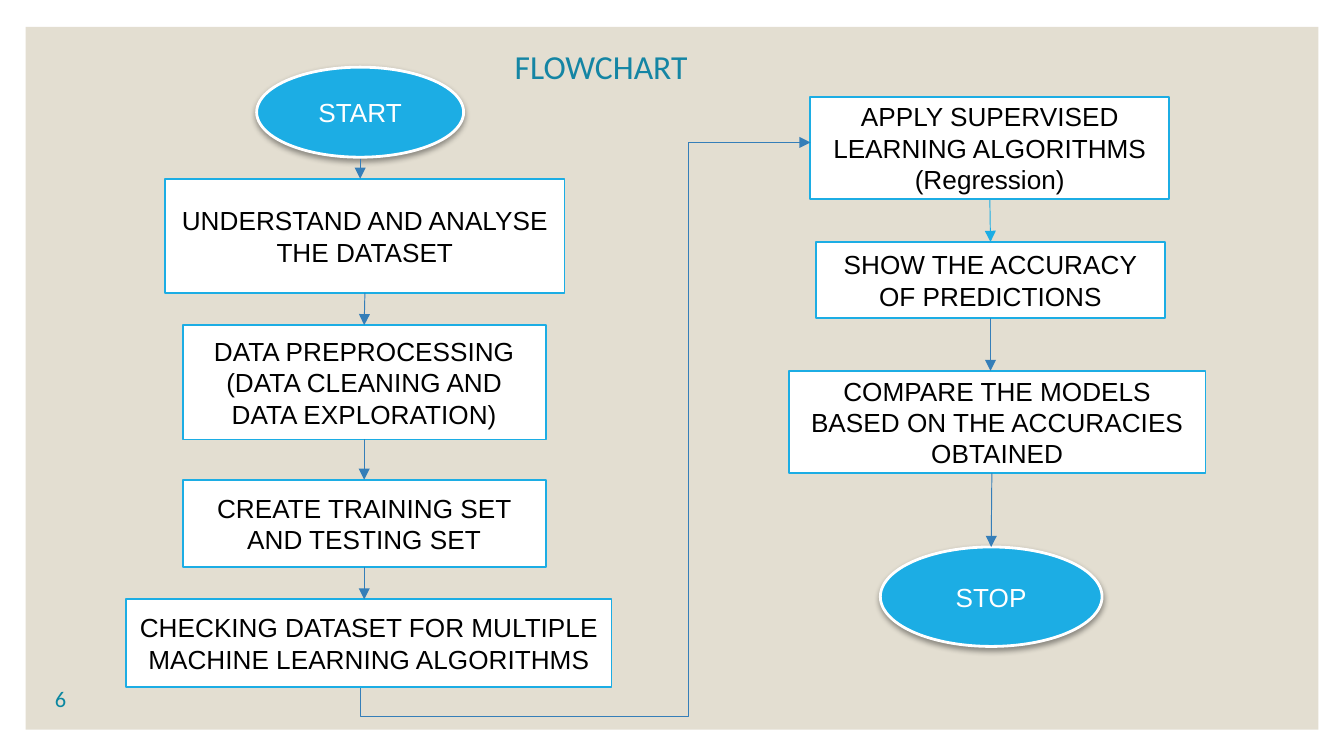
from lxml.etree import SubElement
from pptx import Presentation
from pptx.dml.color import RGBColor
from pptx.enum.shapes import MSO_CONNECTOR, MSO_SHAPE
from pptx.enum.text import MSO_ANCHOR, PP_ALIGN
from pptx.oxml.ns import qn
from pptx.util import Inches, Pt

WHITE = RGBColor(0xFF, 0xFF, 0xFF)
BLACK = RGBColor(0, 0, 0)
BEIGE = RGBColor(0xE3, 0xDE, 0xD1)
CYAN = RGBColor(0x1C, 0xAD, 0xE4)
BLUE = RGBColor(0x35, 0x7E, 0xB8)
TEAL = RGBColor(0x14, 0x85, 0xA4)
NUMBER_TEAL = RGBColor(0x0B, 0x87, 0xA1)
TOP, BOTTOM = 0, 2


def set_text(sp, text, size, font, color, align, anchor):
    """Fill a shape with one paragraph per line of text."""
    tf = sp.text_frame
    tf.text = text
    tf.word_wrap = True
    tf.vertical_anchor = anchor
    for p in tf.paragraphs:
        p.alignment = align
        p.font.size = Pt(size)
        p.font.name = font
        p.font.color.rgb = color


def add_panel(s):
    """Put the beige panel behind everything else."""
    sp = s.shapes.add_shape(MSO_SHAPE.RECTANGLE, Inches(0.19), Inches(0.2), Inches(9.62), Inches(5.23))
    sp.shadow.inherit = False
    sp.fill.solid()
    sp.fill.fore_color.rgb = BEIGE
    sp.line.fill.background()
    s.shapes._spTree.insert(2, sp._element)


def add_title(s, text):
    """Place and format the title placeholder."""
    sp = s.shapes.title
    sp.left, sp.top, sp.width, sp.height = Inches(3.73), Inches(0.29), Inches(2.02), Inches(0.4)
    set_text(sp, text, 18, "Calibri", TEAL, PP_ALIGN.LEFT, MSO_ANCHOR.TOP)


def add_number(s, text):
    """Add the slide number."""
    sp = s.shapes.add_textbox(Inches(0.31), Inches(4.98), Inches(0.6), Inches(0.43))
    set_text(sp, text, 12, "Calibri", NUMBER_TEAL, PP_ALIGN.LEFT, MSO_ANCHOR.MIDDLE)


def add_node(s, kind, text, box, fill, line, width, color):
    """Add a filled, outlined shape with centred text."""
    sp = s.shapes.add_shape(kind, *map(Inches, box))
    sp.shadow.inherit = False
    sp.fill.solid()
    sp.fill.fore_color.rgb = fill
    sp.line.color.rgb = line
    sp.line.width = Pt(width)
    set_text(sp, text, 14, "Arial", color, PP_ALIGN.CENTER, MSO_ANCHOR.MIDDLE)
    return sp


def add_step(s, text, box, kind=MSO_SHAPE.FLOWCHART_PROCESS):
    """Add a white process box."""
    return add_node(s, kind, text, box, WHITE, CYAN, 1, BLACK)


def add_terminal(s, text, box):
    """Add a blue start or stop ellipse with a soft shadow."""
    sp = add_node(s, MSO_SHAPE.OVAL, text, box, CYAN, WHITE, 1.5, WHITE)
    effects = sp._element.spPr.find(qn("a:effectLst"))
    shadow = SubElement(effects, qn("a:outerShdw"), blurRad=str(Pt(3.1)), dist=str(Pt(1.6)),
                        dir="5400000", rotWithShape="0")
    rgb = SubElement(shadow, qn("a:srgbClr"), val="000000")
    SubElement(rgb, qn("a:alpha"), val="38000")
    return sp


def add_line(s, kind, begin, end, color=BLUE):
    """Add a thin connector between two points."""
    c = s.shapes.add_connector(kind, *map(Inches, begin + end))
    c.line.color.rgb = color
    c.line.width = Pt(0.5)
    SubElement(c._element.spPr, qn("a:effectLst"))
    return c


def add_arrow(s, begin, end, source=None, target=None, color=BLUE):
    """Add a straight arrow, joined to a source's bottom and a target's top if given."""
    c = add_line(s, MSO_CONNECTOR.STRAIGHT, begin, end, color)
    SubElement(c.line._get_or_add_ln(), qn("a:tailEnd"), type="triangle")
    if source is not None:
        c.begin_connect(source, BOTTOM)
    if target is not None:
        c.end_connect(target, TOP)


def add_elbow(s, begin, end):
    """Add a connector with one bend, horizontal first."""
    c = add_line(s, MSO_CONNECTOR.ELBOW, begin, end)
    c._element.spPr.find(qn("a:prstGeom")).set("prst", "bentConnector2")


def main():
    """Build the flowchart slide."""
    prs = Presentation()
    prs.slide_width, prs.slide_height = Inches(10), Inches(10) * 9 // 16
    s = prs.slides.add_slide(prs.slide_layouts[5])
    add_panel(s)
    add_title(s, "FLOWCHART")
    add_number(s, "6")

    add_terminal(s, "START", (1.91, 0.5, 1.54, 0.67))
    understand = add_step(s, "UNDERSTAND AND ANALYSE THE DATASET", (1.23, 1.33, 2.97, 0.85))
    prepare = add_step(s, "DATA PREPROCESSING\n(DATA CLEANING AND DATA EXPLORATION)", (1.36, 2.42, 2.7, 0.85))
    split = add_step(s, "CREATE TRAINING SET AND TESTING SET", (1.36, 3.57, 2.7, 0.65))
    add_step(s, "CHECKING DATASET FOR MULTIPLE\nMACHINE LEARNING ALGORITHMS", (0.94, 4.46, 3.61, 0.65))
    learn = add_step(s, "APPLY SUPERVISED LEARNING ALGORITHMS (Regression)", (6.03, 0.72, 2.67, 0.76),
                     MSO_SHAPE.RECTANGLE)
    accuracy = add_step(s, "SHOW THE ACCURACY\nOF PREDICTIONS", (6.07, 1.8, 2.6, 0.57), MSO_SHAPE.RECTANGLE)
    add_step(s, "COMPARE THE MODELS BASED ON THE ACCURACIES\nOBTAINED", (5.87, 2.76, 3.1, 0.76),
             MSO_SHAPE.RECTANGLE)
    stop = add_terminal(s, "STOP", (6.55, 4.07, 1.65, 0.74))

    add_arrow(s, (2.68, 1.18), (2.68, 1.33))
    add_arrow(s, (2.71, 2.18), (2.71, 2.42), understand, prepare)
    add_arrow(s, (2.71, 3.27), (2.71, 3.57), prepare, split)
    add_arrow(s, (2.71, 4.22), (2.71, 4.46), split)
    add_elbow(s, (3.45, 5.33), (2.68, 5.12))
    add_elbow(s, (2.71, 5.33), (5.12, 1.06))
    add_arrow(s, (5.12, 1.06), (6.03, 1.06))
    add_arrow(s, (7.36, 1.48), (7.37, 1.8), learn, accuracy, CYAN)
    add_arrow(s, (7.37, 2.37), (7.37, 2.76), accuracy)
    add_arrow(s, (7.38, 3.52), (7.38, 4.07), target=stop)
    prs.save("out.pptx")


if __name__ == "__main__":
    main()
